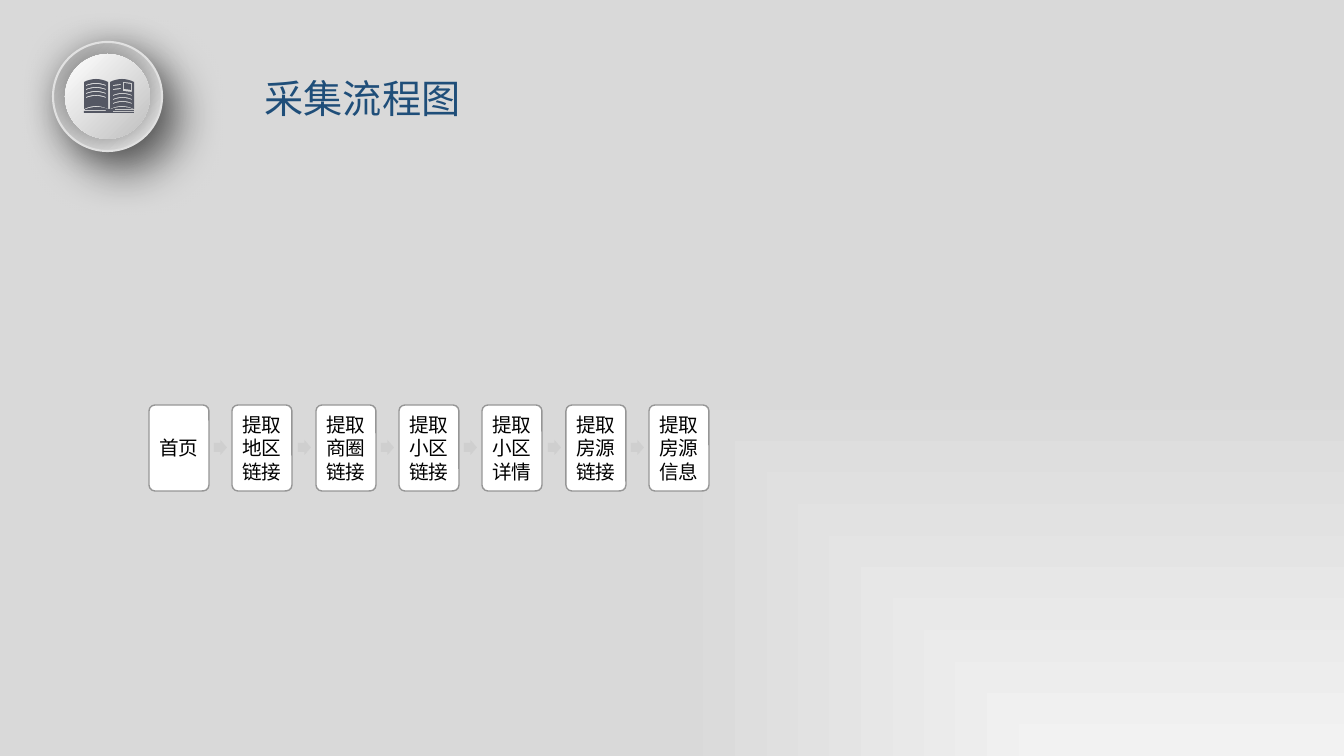
from lxml.etree import SubElement
from pptx import Presentation
from pptx.dml.color import RGBColor
from pptx.enum.shapes import MSO_SHAPE as Kind
from pptx.enum.text import MSO_ANCHOR, MSO_AUTO_SIZE, PP_ALIGN
from pptx.oxml.ns import qn
from pptx.util import Pt

WHITE = RGBColor(0xFF, 0xFF, 0xFF)
BLACK = RGBColor(0x00, 0x00, 0x00)
PALE = RGBColor(0xF2, 0xF2, 0xF2)
MIST = RGBColor(0xD9, 0xD9, 0xD9)
STEEL = RGBColor(0xBF, 0xBF, 0xBF)
ARROW = RGBColor(0xCF, 0xCF, 0xCF)
EDGE = RGBColor(0x96, 0x96, 0x96)
SLATE = RGBColor(0x54, 0x57, 0x63)
NAVY = RGBColor(0x1F, 0x4E, 0x79)

PX = 914400 / 100.8
STEPS = ["首页", "提取地区链接", "提取商圈链接", "提取小区链接",
         "提取小区详情", "提取房源链接", "提取房源信息"]


def px(*sizes):
    return [round(size * PX) for size in sizes]


def arc(left, right, base, rise):
    return [(left + (right - left) * i / 8, base - rise * i * (8 - i) / 16)
            for i in range(9)]


def band(left, right, top, low, rise):
    return arc(left, right, top, rise) + arc(right, left, low, rise)


def dress(target, values):
    for name, value in values.items():
        setattr(target, name, value)


class Canvas:
    """Holds the text style and the current slide, and draws each kind of element."""

    face = "Noto Sans CJK SC"

    def __init__(self, deck):
        self.page = deck.slides.add_slide(deck.slide_layouts[6])

    def blend(self, fill, owner, colors, kind):
        fill.gradient()
        for stop, color, place in zip(fill.gradient_stops, colors, (0, 1)):
            stop.color.rgb = color
            stop.position = place
        grad = next(owner.iter(qn("a:gradFill")))
        grad.remove(grad.find(qn("a:lin")))
        route = SubElement(grad, qn("a:path"), {"path": kind})
        SubElement(route, qn("a:fillToRect"), l="100000", t="100000")

    def back(self, *colors):
        self.blend(self.page.background.fill, self.page._element, colors, "rect")

    def shape(self, kind, box, fill=None, line=None, width=1, adjust=()):
        shape = self.page.shapes.add_shape(kind, *px(*box))
        self.paint(shape, fill, line, width)
        for i, value in enumerate(adjust):
            shape.adjustments[i] = value
        return shape

    def paint(self, shape, fill, line=None, width=1):
        shape.shadow.inherit = False
        if fill is not None:
            shape.fill.solid()
            shape.fill.fore_color.rgb = fill
        if line is None:
            shape.line.fill.background()
        else:
            shape.line.color.rgb = line
            shape.line.width = Pt(width)

    def disc(self, box, colors, line=None, reach=0, angle=0):
        disc = self.shape(Kind.OVAL, box, line=line, width=1.5)
        owner = disc._element.spPr
        self.blend(disc.fill, owner, colors, "circle")
        glow = SubElement(owner.find(qn("a:effectLst")), qn("a:outerShdw"), {
            "blurRad": str(Pt(33)), "dist": str(Pt(reach)),
            "dir": str(angle * 60000), "algn": "ctr", "rotWithShape": "0"})
        tint = SubElement(glow, qn("a:srgbClr"), val=str(BLACK))
        SubElement(tint, qn("a:alpha"), val="55000")

    def free(self, *loops):
        pen = None
        for loop in loops:
            dots = [(round(x * 10), round(y * 10)) for x, y in loop]
            if pen is None:
                pen = self.page.shapes.build_freeform(*dots[0], scale=PX / 10)
            else:
                pen.move_to(*dots[0])
            pen.add_line_segments(dots[1:], close=True)
        self.paint(pen.convert_to_shape(), SLATE)

    def label(self, shape, words, size, color, pitch, frame):
        dress(shape.text_frame, {"word_wrap": True, **frame})
        para = shape.text_frame.paragraphs[0]
        dress(para, {"alignment": PP_ALIGN.CENTER, "line_spacing": Pt(pitch)})
        run = para.add_run()
        run.text = words
        dress(run.font, {"name": self.face, "size": Pt(size)})
        run.font.color.rgb = color
        SubElement(run._r.rPr, qn("a:ea"), typeface=self.face)

    def title(self, words, box):
        shape = self.page.shapes.add_textbox(*px(*box))
        self.label(shape, words, 28, NAVY, 36,
                   {"auto_size": MSO_AUTO_SIZE.SHAPE_TO_FIT_TEXT})

    def step(self, words, box):
        shape = self.shape(Kind.ROUNDED_RECTANGLE, box, WHITE, EDGE, adjust=[0.1])
        sides = ("left", "top", "right", "bottom")
        frame = {f"margin_{side}": px(6)[0] for side in sides}
        frame["vertical_anchor"] = MSO_ANCHOR.MIDDLE
        self.label(shape, words, 14, BLACK, 17, frame)

    def book(self):
        self.free([(84, 113), (84, 111), (106, 111), (106, 110), (85, 110),
                   (85, 109), (103, 109), *arc(86, 108, 109, 2),
                   *arc(111, 133, 109, 2), (115, 109), (115, 110), (134, 110),
                   (134, 111), (113, 111), (113, 112), (134, 112), (134, 113)])
        self.free(band(84, 108, 82, 109, 3),
                  *[band(86, 106, y, y + 1, 2) for y in range(85, 98, 4)])
        self.free([(124, 83), (131, 84), (131, 90), (124, 89)])
        self.free(band(110, 134, 82, 109, 3),
                  *[band(113, 132, y, y + 1, 2) for y in (95, 99, 103)],
                  *[[(113, y), (121, y - 1), (121, y), (113, y + 1)]
                    for y in (85, 89)],
                  [(123, 82), (132, 83), (132, 92), (123, 91)])


def main():
    deck = Presentation()
    deck.slide_width, deck.slide_height = px(1344, 756)
    canvas = Canvas(deck)
    canvas.back(PALE, MIST)
    canvas.disc((53, 42, 109, 109), (WHITE, STEEL), WHITE, 18, 50)
    canvas.disc((65, 54, 85, 85), (STEEL, WHITE))
    canvas.book()
    canvas.title("采集流程图", (191, 66, 343, 58))
    for i, words in enumerate(STEPS):
        left = 149 + round(i * 500 / 6)
        if i:
            canvas.shape(Kind.RIGHT_ARROW, (left - 18, 440, 13, 15), ARROW,
                         adjust=[0.6, 0.5])
        canvas.step(words, (left, 405, 60, 86))
    deck.save("out.pptx")


if __name__ == "__main__":
    main()
